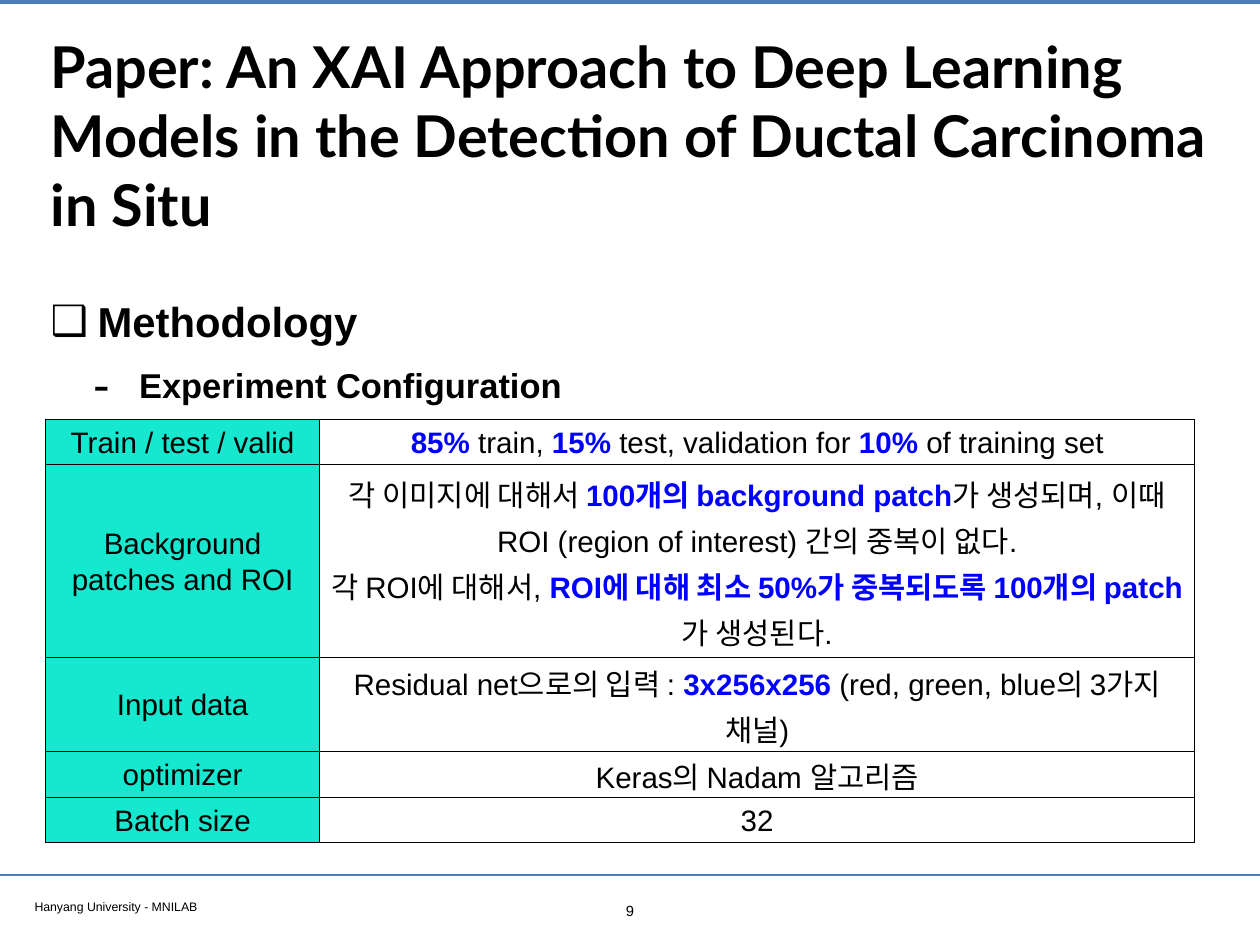
from lxml import etree
from pptx import Presentation, util as u
from pptx.dml.color import RGBColor
from pptx.enum import shapes, text
from pptx.oxml import ns

# Content: parts between asterisks are emphasised
TITLE = ("Paper: An XAI Approach to Deep Learning Models "
         "in the Detection of Ductal Carcinoma in Situ")
OUTLINE = [
    # text, size, bullet, bullet size %, left margin cm, hanging cm, space before
    ("Methodology", 34, "❑", 100, 1.35, 1.35, 0),
    ("Experiment Configuration", 28, "-", 145, 2.54, 1.32, 8),
]
CONFIGURATION = [
    # row height cm, label, paragraphs
    (1.3, "Train / test / valid",
     ["*85% *train, *15% *test, validation for *10% *of training set"]),
    (5.54, "Background patches and ROI",
     ["각 이미지에 대해서 *100개의 background patch*가 생성되며, "
      "이때 ROI (region of interest) 간의 중복이 없다.",
      "각 ROI에 대해서, *ROI에 대해 최소 50%가 중복되도록 100개의 patch*가 생성된다."]),
    (2.69, "Input data",
     ["Residual net으로의 입력 : *3x256x256* (red, green, blue의 3가지 채널)"]),
    (1.3, "optimizer", ["Keras의 Nadam 알고리즘"]),
    (1.3, "Batch size", ["32"]),
]
FOOTER = "Hanyang University - MNILAB"
PAGE_NUMBER = "9"

COLORS = {"text": "000000", "accent": "0000FF", "label": "16E7CF",
          "rule": "4A7EBB", "page": "FFFFFF"}
WIDTH, HEIGHT = 36.12, 27.1
LEFT = 1.3
COLUMNS = [7.87, 25.07]
ALIGN, ANCHOR = text.PP_ALIGN, text.MSO_ANCHOR


def rgb(name):
    return RGBColor.from_string(COLORS[name])


def write(paragraph, content, size=24, font="Arial", bold=False,
          align=ALIGN.LEFT, spacing=1.0, before=0):
    paragraph.alignment = align
    paragraph.line_spacing = spacing
    paragraph.space_before = u.Pt(before)
    for i, part in enumerate(content.split("*")):
        if not part:
            continue
        emphasised = i % 2 == 1
        run = paragraph.add_run()
        run.text = part
        run.font.size = u.Pt(size)
        run.font.name = font
        run.font.bold = bold or emphasised
        run.font.color.rgb = rgb("accent" if emphasised else "text")


def prepare(frame, anchor=ANCHOR.TOP):
    frame.word_wrap = True
    frame.auto_size = text.MSO_AUTO_SIZE.NONE
    frame.vertical_anchor = anchor
    frame.margin_left = frame.margin_right = u.Cm(0.15)
    frame.margin_top = frame.margin_bottom = u.Cm(0.15)
    return frame


def add_box(slide, *place):
    return prepare(slide.shapes.add_textbox(*map(u.Cm, place)).text_frame)


def add_rule(slide, y, weight):
    rule = slide.shapes.add_connector(
        shapes.MSO_CONNECTOR.STRAIGHT, 0, u.Cm(y), u.Cm(WIDTH), u.Cm(y))
    rule.line.color.rgb = rgb("rule")
    rule.line.width = u.Pt(weight)
    etree.SubElement(rule._element.spPr, ns.qn("a:effectLst"))


def add_bullet(paragraph, symbol, percent, margin, hanging):
    props = paragraph._p.get_or_add_pPr()
    props.set("marL", str(u.Cm(margin)))
    props.set("indent", str(-u.Cm(hanging)))
    etree.SubElement(props, ns.qn("a:buSzPct"), val=str(percent * 1000))
    etree.SubElement(props, ns.qn("a:buFont"), typeface="Arial")
    etree.SubElement(props, ns.qn("a:buChar"), char=symbol)


def add_borders(cell):
    props = cell._tc.get_or_add_tcPr()
    for i, side in enumerate(("lnL", "lnR", "lnT", "lnB")):
        line = etree.Element(ns.qn("a:" + side), w=str(u.Pt(1)))
        fill = etree.SubElement(line, ns.qn("a:solidFill"))
        etree.SubElement(fill, ns.qn("a:srgbClr"), val=COLORS["text"])
        props.insert(i, line)


def fill_cell(cell, paragraphs, color):
    cell.fill.solid()
    cell.fill.fore_color.rgb = rgb(color)
    add_borders(cell)
    cell.vertical_anchor = ANCHOR.MIDDLE
    cell.margin_left = cell.margin_right = u.Cm(0.18)
    cell.margin_top = cell.margin_bottom = 0
    frame = cell.text_frame
    for i, content in enumerate(paragraphs):
        paragraph = frame.add_paragraph() if i else frame.paragraphs[0]
        write(paragraph, content, align=ALIGN.CENTER, spacing=1.07)


def main():
    deck = Presentation()
    deck.slide_width, deck.slide_height = u.Cm(WIDTH), u.Cm(HEIGHT)
    slide = deck.slides.add_slide(deck.slide_layouts[5])

    # Rules and footer
    add_rule(slide, 0.05, 3.2)
    add_rule(slide, 25.1, 2)
    footer = add_box(slide, 0.84, 25.63, 13.87, 0.7)
    write(footer.paragraphs[0], FOOTER, size=10)
    number = add_box(slide, 17.56, 25.7, 1, 0.8)
    write(number.paragraphs[0], PAGE_NUMBER, size=12, align=ALIGN.CENTER)

    # Title
    title = slide.shapes.title
    title.left, title.top = u.Cm(LEFT), u.Cm(0.71)
    title.width, title.height = u.Cm(33.55), u.Cm(6.3)
    heading = prepare(title.text_frame, ANCHOR.MIDDLE)
    write(heading.paragraphs[0], TITLE, size=46.8, font="Lato", bold=True)

    # Outline
    outline = add_box(slide, LEFT, 8.05, 33.55, 3.9)
    for i, (content, size, symbol, percent, margin, hanging, before) in enumerate(OUTLINE):
        paragraph = outline.add_paragraph() if i else outline.paragraphs[0]
        add_bullet(paragraph, symbol, percent, margin, hanging)
        write(paragraph, content, size=size, bold=True, spacing=1.2, before=before)

    # Configuration table
    total = sum(row[0] for row in CONFIGURATION)
    table = slide.shapes.add_table(
        len(CONFIGURATION), len(COLUMNS), u.Cm(LEFT), u.Cm(12.02),
        u.Cm(sum(COLUMNS)), u.Cm(total)).table
    table.first_row = table.horz_banding = False
    for column, width in zip(table.columns, COLUMNS):
        column.width = u.Cm(width)
    for row, (height, label, details) in zip(table.rows, CONFIGURATION):
        row.height = u.Cm(height)
        fill_cell(row.cells[0], [label], "label")
        fill_cell(row.cells[1], details, "page")

    deck.save("out.pptx")


if __name__ == "__main__":
    main()
